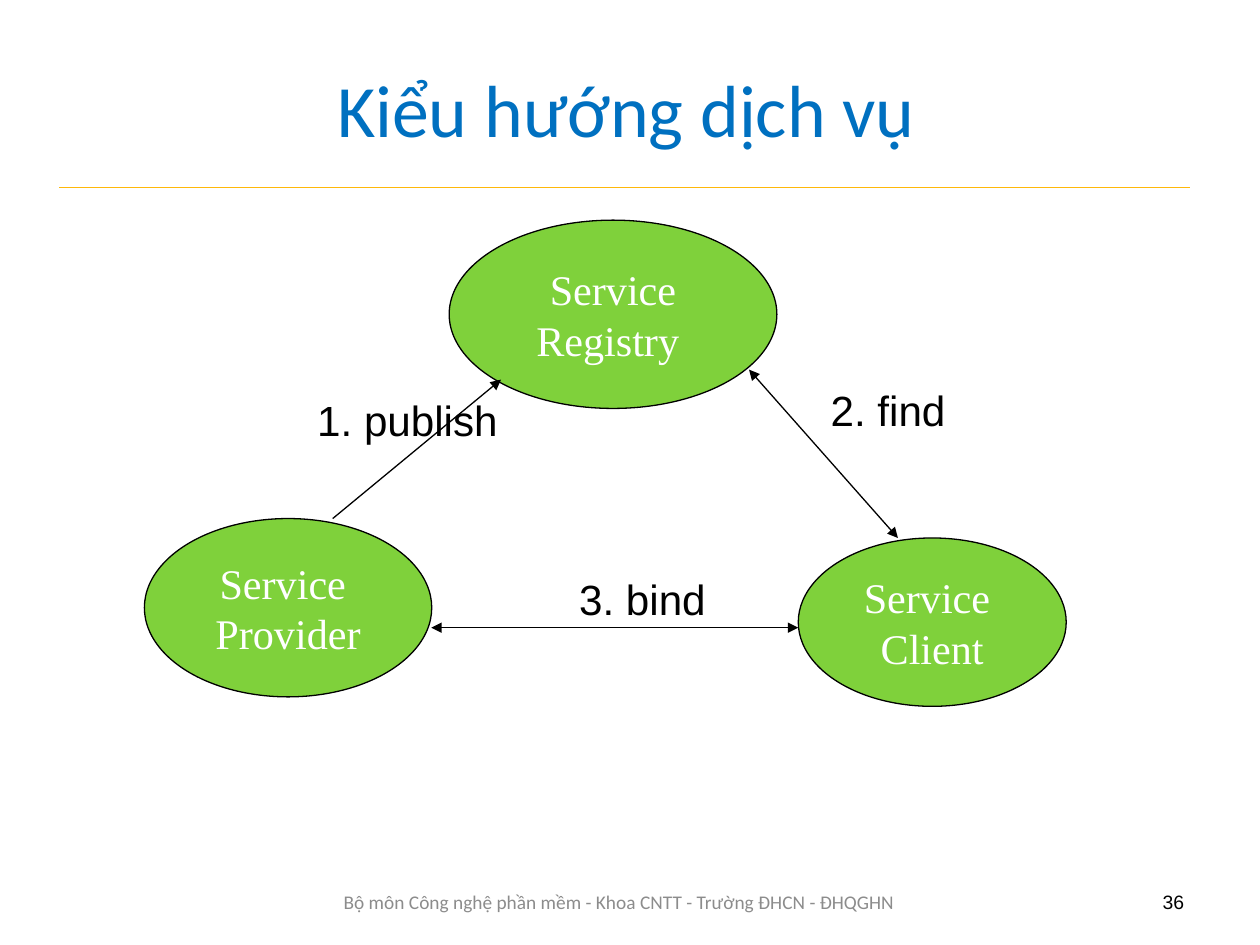
"""Builds the service-oriented style slide."""
import dataclasses

import lxml.etree
import pptx
import pptx.dml.color
import pptx.enum.shapes
import pptx.enum.text
import pptx.oxml.ns
import pptx.util

Cm = pptx.util.Cm
Align = pptx.enum.text.PP_ALIGN
Anchor = pptx.enum.text.MSO_ANCHOR
Fit = pptx.enum.text.MSO_AUTO_SIZE


@dataclasses.dataclass(frozen=True)
class Theme:
    """Colours, fonts and sizes of the slide."""
    black: str = "000000"
    white: str = "FFFFFF"
    blue: str = "0070C0"
    gold: str = "FEB80A"
    green: str = "7FD13B"
    grey: str = "8C8C8C"
    heading_font: str = "Calibri"
    label_font: str = "Arial"
    node_font: str = "Times New Roman"
    title_size: float = 42
    body_size: float = 24
    footer_size: float = 11
    line_width: float = 0.75


def rgb(color):
    """Turns a hex string into a colour."""
    return pptx.dml.color.RGBColor.from_string(color)


class Builder:
    """Draws styled elements on the current slide."""

    def __init__(self, prs, theme):
        """Adds a title-only slide."""
        self.theme = theme
        self.s = prs.slides.add_slide(prs.slide_layouts[5])

    def add_text(self, sp, lines, font, size, color, align, anchor=Anchor.MIDDLE,
                 wrap=True, fit=Fit.NONE):
        """Fills a shape with one paragraph for each line."""
        tf = sp.text_frame
        tf.word_wrap = wrap
        tf.auto_size = fit
        tf.vertical_anchor = anchor
        for i, line in enumerate(lines):
            p = tf.add_paragraph() if i else tf.paragraphs[0]
            p.alignment = align
            r = p.add_run()
            r.text = line
            r.font.name = font
            r.font.size = pptx.util.Pt(size)
            r.font.color.rgb = rgb(color)

    def title(self, text, box):
        """Places and fills the title placeholder."""
        t, sp = self.theme, self.s.shapes.title
        sp.left, sp.top, sp.width, sp.height = map(Cm, box)
        self.add_text(sp, [text], t.heading_font, t.title_size, t.blue, Align.CENTER)

    def footer(self, text, box, font, color, align):
        """Adds a line of small text at the foot."""
        sp = self.s.shapes.add_textbox(*map(Cm, box))
        self.add_text(sp, [text], font, self.theme.footer_size, color, align)

    def label(self, text, box):
        """Adds the caption of an arrow."""
        t, sp = self.theme, self.s.shapes.add_textbox(*map(Cm, box))
        self.add_text(sp, [text], t.label_font, t.body_size, t.black, Align.LEFT,
                      Anchor.TOP, False, Fit.SHAPE_TO_FIT_TEXT)

    def node(self, lines, box):
        """Adds an ellipse that names a service role."""
        t = self.theme
        sp = self.s.shapes.add_shape(pptx.enum.shapes.MSO_SHAPE.OVAL, *map(Cm, box))
        sp.shadow.inherit = False
        sp.fill.solid()
        sp.fill.fore_color.rgb = rgb(t.green)
        sp.line.color.rgb = rgb(t.black)
        sp.line.width = pptx.util.Pt(t.line_width)
        self.add_text(sp, lines, t.node_font, t.body_size, t.white, Align.CENTER, wrap=False)

    def line(self, start, end, color, ends=()):
        """Adds a straight line with triangles at the named ends."""
        kind = pptx.enum.shapes.MSO_CONNECTOR.STRAIGHT
        sp = self.s.shapes.add_connector(kind, *map(Cm, start + end))
        sp.line.color.rgb = rgb(color)
        sp.line.width = pptx.util.Pt(self.theme.line_width)
        qn, sub = pptx.oxml.ns.qn, lxml.etree.SubElement
        props = sp._element.spPr
        for end_name in ends:
            sub(props.find(qn("a:ln")), qn(f"a:{end_name}"), type="triangle")
        sub(props, qn("a:effectLst"))


def main():
    """Builds and saves the slide."""
    prs = pptx.Presentation()
    prs.slide_width, prs.slide_height = Cm(25.3), Cm(18.97)
    t = Theme()
    b = Builder(prs, t)

    b.line((1.19, 3.76), (23.9, 3.76), t.gold)
    b.title("Kiểu hướng dịch vụ", (1.19, 0.58, 22.76, 3.18))
    b.footer("Bộ môn Công nghệ phần mềm - Khoa CNTT - Trường ĐHCN - ĐHQGHN",
             (6.3, 17.6, 12.27, 1.02), t.heading_font, t.grey, Align.CENTER)
    b.footer("36", (18.14, 17.6, 5.89, 1.02), t.label_font, t.black, Align.RIGHT)

    for lines, box in (
        (("Service", "Registry "), (9.02, 4.42, 6.58, 3.78)),
        (("Service ", "Provider"), (2.9, 10.41, 5.77, 3.58)),
        (("Service ", "Client"), (16.03, 10.8, 5.38, 3.38)),
    ):
        b.node(lines, box)

    both = ("headEnd", "tailEnd")
    for start, end, ends in (
        ((6.68, 10.41), (10.06, 7.62), ("tailEnd",)),
        ((15.04, 7.42), (18.03, 10.8), both),
        ((16.03, 12.6), (8.66, 12.6), both),
    ):
        b.line(start, end, t.black, ends)

    for text, box in (
        ("1. publish", (6.12, 7.8, 4.17, 1.27)),
        ("2. find", (16.43, 7.59, 2.84, 1.27)),
        ("3. bind", (11.38, 11.38, 3.07, 1.27)),
    ):
        b.label(text, box)

    prs.save("out.pptx")


main()
